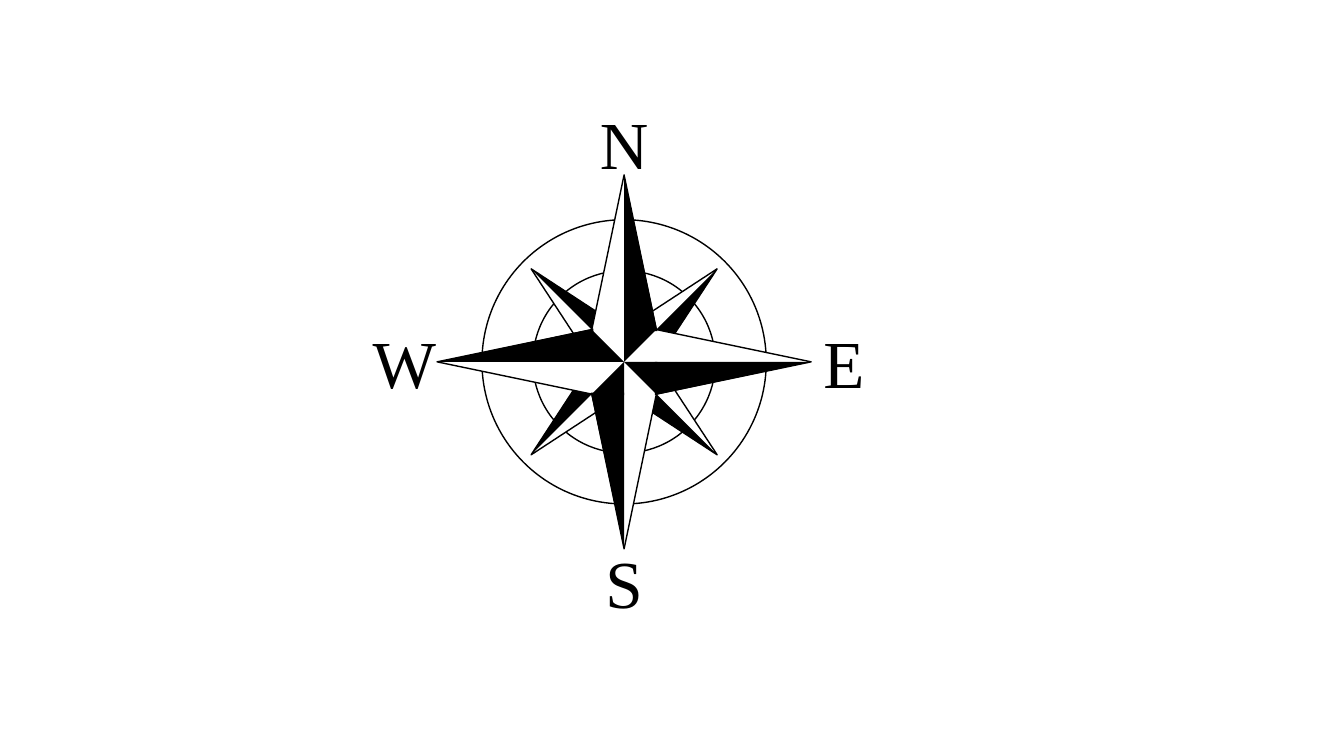
import math

from pptx import Presentation
from pptx import util as u
from pptx.dml.color import RGBColor
from pptx.enum import shapes, text

CENTER_X, CENTER_Y = 6.19, 3.59
LABEL_DISTANCE = 2.18
STAR_WAIST = 12.2 / 100
BLACK, WHITE = "000000", "FFFFFF"
QUARTERS = (0, 90, 180, 270)
PRESET = shapes.MSO_SHAPE


def color(value):
    return RGBColor.from_string(value)


def around_center(dx, dy, width, height):
    """Return the frame of a box whose middle lies at dx, dy from the compass center."""
    left = CENTER_X + dx - width / 2
    top = CENTER_Y + dy - height / 2
    return [u.Inches(value) for value in (left, top, width, height)]


def turned(dx, dy, degrees):
    """Turn an offset clockwise about the compass center."""
    angle = math.radians(degrees)
    return (dx * math.cos(angle) - dy * math.sin(angle),
            dx * math.sin(angle) + dy * math.cos(angle))


def add_figure(compass, preset, frame, fill=None, line=None, rotation=0):
    figure = compass.shapes.add_shape(preset, *frame)
    figure.shadow.inherit = False
    figure.rotation = rotation % 360
    if fill:
        figure.fill.solid()
        figure.fill.fore_color.rgb = color(fill)
    else:
        figure.fill.background()
    if line:
        figure.line.color.rgb = color(line)
        figure.line.width = u.Pt(1)
    else:
        figure.line.fill.background()
    return figure


def add_ring(compass, diameter):
    add_figure(compass, PRESET.OVAL, around_center(0, 0, diameter, diameter), line=BLACK)


def add_star(compass, size, blade_width, blade_length, tilt=0):
    """Add a four-pointed star with the dark half of each point and of its hub."""
    star = add_figure(compass, PRESET.STAR_4_POINT, around_center(0, 0, size, size),
                      fill=WHITE, line=BLACK, rotation=tilt)
    star.adjustments[0] = STAR_WAIST
    half = blade_width / 2
    parts = [
        (blade_length, (blade_length - size) / 2, 0),
        (blade_width, -half, 90),
    ]
    for length, dy, spin in parts:
        for quarter in QUARTERS:
            turn = tilt + quarter
            frame = around_center(*turned(half, dy, turn), blade_width, length)
            add_figure(compass, PRESET.RIGHT_TRIANGLE, frame, fill=BLACK, rotation=turn + spin)


def add_text(compass, words, frame, size=48, font="Times New Roman", ink=BLACK,
             align=text.PP_ALIGN.CENTER, anchor=text.MSO_ANCHOR.MIDDLE):
    box = compass.shapes.add_textbox(*frame)
    box.text_frame.word_wrap = True
    box.text_frame.vertical_anchor = anchor
    para = box.text_frame.paragraphs[0]
    para.alignment = align
    span = para.add_run()
    span.text = words
    span.font.size = u.Pt(size)
    span.font.name = font
    span.font.color.rgb = color(ink)


def main():
    deck = Presentation()
    deck.slide_width = u.Inches(13.33)
    deck.slide_height = u.Inches(7.5)
    page = deck.slides.add_slide(deck.slide_layouts[6])
    compass = page.shapes.add_group_shape()

    add_ring(compass, 2.82)
    add_ring(compass, 1.81)
    add_star(compass, 2.61, 0.23, 1.09, tilt=45)
    add_star(compass, 3.71, 0.33, 1.55)
    for letter, quarter in zip("NESW", QUARTERS):
        offset = turned(0, -LABEL_DISTANCE, quarter)
        add_text(compass, letter, around_center(*offset, 0.84, 0.88))

    deck.save("out.pptx")


if __name__ == "__main__":
    main()
